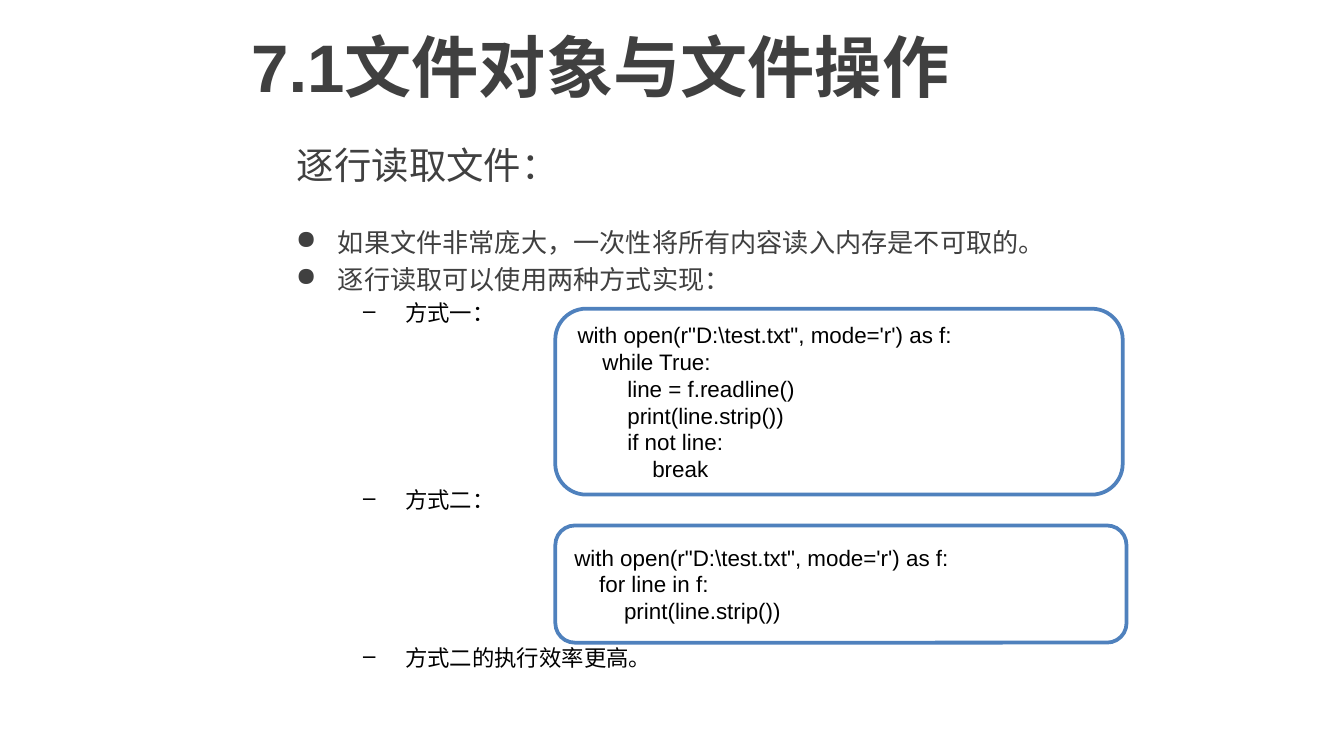
from lxml.etree import SubElement
from pptx import Presentation
from pptx.dml.color import RGBColor
from pptx.enum.shapes import MSO_SHAPE
from pptx.enum.text import MSO_ANCHOR, PP_ALIGN
from pptx.oxml.ns import qn
from pptx.util import Pt

GREY, BLACK, BLUE, WHITE = "404040", "000000", "4F81BD", "FFFFFF"
CODE_STEP = 13.34
HANGING = 22.5

NOTES = [
    ("●", "如果文件非常庞大，一次性将所有内容读入内存是不可取的。", 0, 2.8),
    ("●", "逐行读取可以使用两种方式实现：", 0, 2.8),
    ("–", "方式一：", 1, 0),
    ("–", "方式二：", 1, 83.2),
    ("–", "方式二的执行效率更高。", 1, 67.6),
]
READLINE_CODE = [
    (0, "with open(r\"D:\\test.txt\", mode='r') as f:"),
    (1, "while True:"),
    (2, "line = f.readline()"),
    (2, "print(line.strip())"),
    (2, "if not line:"),
    (3, "break"),
]
ITERATION_CODE = [
    (0, "with open(r\"D:\\test.txt\", mode='r') as f:"),
    (1, "for line in f:"),
    (2, "print(line.strip())"),
]


def color(value):
    """Turn a hex string into a colour."""
    return RGBColor.from_string(value)


def style(para, size, value, bold=False):
    """Set the font of a whole paragraph."""
    para.font.name = "Arial"
    para.font.size = Pt(size)
    para.font.bold = bold
    para.font.color.rgb = color(value)


def indent(para, left, first=0):
    """Set the left margin and first-line indent in points."""
    properties = para._p.get_or_add_pPr()
    properties.set("marL", str(Pt(left)))
    properties.set("indent", str(Pt(first)))


def add_lines(frame, count):
    """Yield the given number of paragraphs, starting with the existing one."""
    for index in range(count):
        yield frame.add_paragraph() if index else frame.paragraphs[0]


def add_text_frame(page, box, anchor):
    """Add a wrapping text box and return its frame."""
    frame = page.shapes.add_textbox(*map(Pt, box)).text_frame
    frame.word_wrap = True
    frame.vertical_anchor = anchor
    return frame


def add_heading(page, box, text, size, bold=False):
    """Add a single heading line centred vertically in its box."""
    para = add_text_frame(page, box, MSO_ANCHOR.MIDDLE).paragraphs[0]
    para.text = text
    style(para, size, GREY, bold)


def add_notes(page, box, notes):
    """Add the two-level bulleted list."""
    frame = add_text_frame(page, box, MSO_ANCHOR.TOP)
    frame.margin_left = Pt(31)
    for para, (bullet, text, level, gap) in zip(add_lines(frame, len(notes)), notes):
        para.text = text
        para.level = level
        para.line_spacing = Pt(17)
        para.space_before = Pt(gap)
        style(para, 12 if level else 14, BLACK if level else GREY)
        indent(para, HANGING + 36 * level, -HANGING)
        SubElement(para._p.pPr, qn("a:buChar")).set("char", bullet)


def add_code(page, box, lines):
    """Add a rounded frame holding indented code lines."""
    shape = page.shapes.add_shape(MSO_SHAPE.ROUNDED_RECTANGLE, *map(Pt, box))
    shape.shadow.inherit = False
    shape.fill.solid()
    shape.fill.fore_color.rgb = color(WHITE)
    shape.line.color.rgb = color(BLUE)
    shape.line.width = Pt(2)
    frame = shape.text_frame
    frame.word_wrap = True
    frame.vertical_anchor = MSO_ANCHOR.MIDDLE
    for para, (depth, text) in zip(add_lines(frame, len(lines)), lines):
        para.text = text
        para.alignment = PP_ALIGN.LEFT
        style(para, 12, BLACK)
        indent(para, CODE_STEP * depth)


def main():
    """Build and save the slide."""
    deck = Presentation()
    deck.slide_width, deck.slide_height = Pt(720), Pt(405)
    page = deck.slides.add_slide(deck.slide_layouts[6])
    add_heading(page, (127.5, 0, 592.5, 70), "7.1文件对象与文件操作", 36, True)
    add_heading(page, (152, 70, 544, 36), "逐行读取文件：", 20)
    add_notes(page, (127.5, 117.4, 544, 236), NOTES)
    add_code(page, (297.5, 165.4, 304, 99.6), READLINE_CODE)
    add_code(page, (297.5, 281.5, 306, 62.8), ITERATION_CODE)
    deck.save("out.pptx")


if __name__ == "__main__":
    main()
